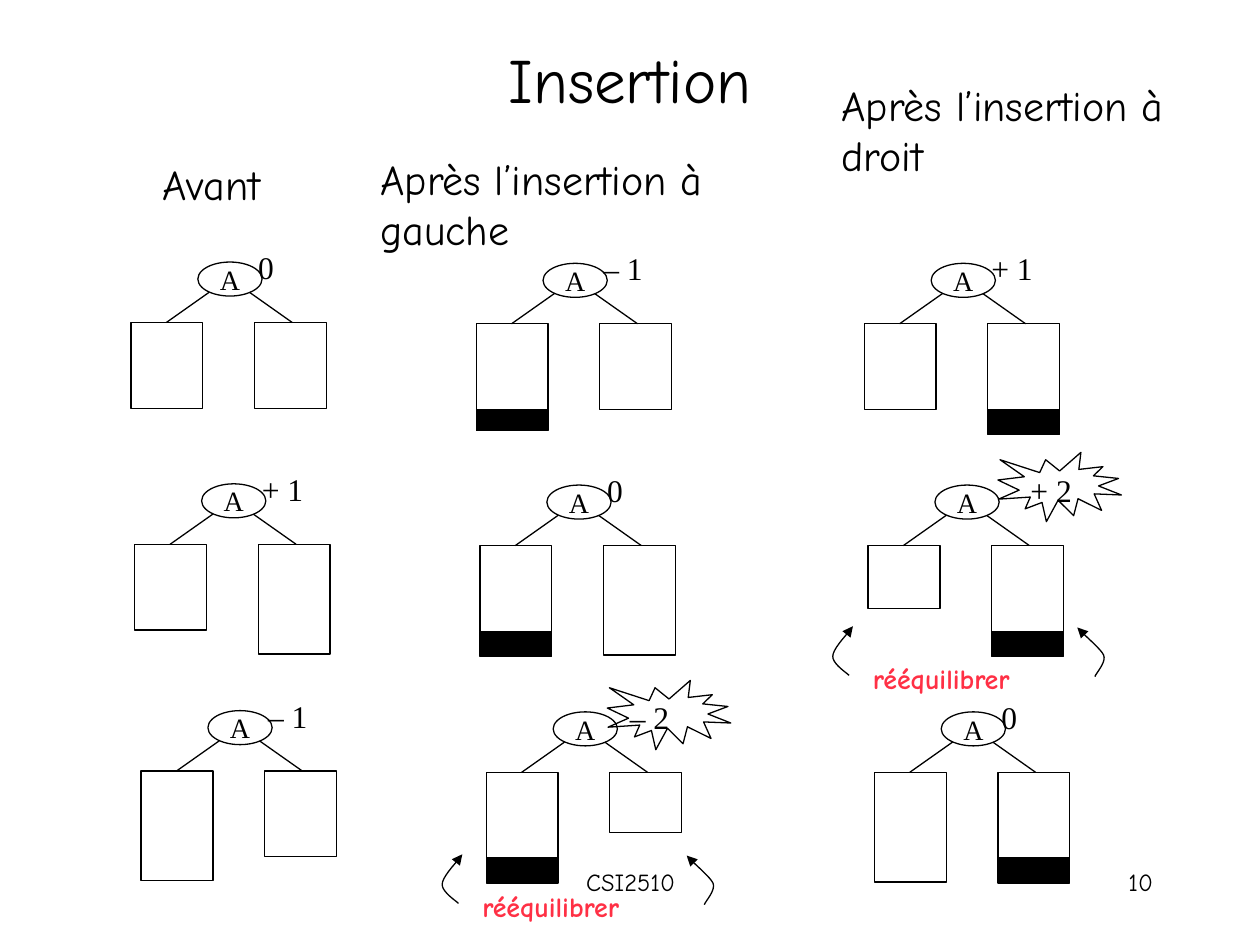
"""Build the slide on insertion cases in a balanced binary tree."""
from lxml import etree
from pptx import Presentation
from pptx import util as u
from pptx.dml.color import RGBColor
from pptx.enum import shapes, text
from pptx.oxml import ns

COMIC, TIMES = "Comic Neue", "Times New Roman"
LEFT, CENTER, RIGHT = text.PP_ALIGN.LEFT, text.PP_ALIGN.CENTER, text.PP_ALIGN.RIGHT
MIDDLE, TOP = text.MSO_ANCHOR.MIDDLE, text.MSO_ANCHOR.TOP
RECT, OVAL = shapes.MSO_SHAPE.RECTANGLE, shapes.MSO_SHAPE.OVAL

prs = Presentation()
prs.slide_width, prs.slide_height = u.Inches(10), u.Inches(7.5)
s = prs.slides.add_slide(prs.slide_layouts[6])


def write(box, words, size, font=COMIC, align=LEFT, anchor=TOP, color="000000", bold=False):
    sp = box if hasattr(box, "text_frame") else s.shapes.add_textbox(*map(u.Inches, box))
    tf = sp.text_frame
    tf.word_wrap = sp.shape_type == shapes.MSO_SHAPE_TYPE.TEXT_BOX
    tf.vertical_anchor = anchor
    p = tf.paragraphs[0]
    p.text = words
    p.alignment = align
    p.font.size, p.font.name, p.font.bold = u.Pt(size), font, bold
    p.font.color.rgb = RGBColor.from_string(color)


def draw(kind, box, fill="FFFFFF"):
    sp = s.shapes.add_shape(kind, *map(u.Inches, box))
    sp.shadow.inherit = False
    if fill:
        sp.fill.solid()
        sp.fill.fore_color.rgb = RGBColor.from_string(fill)
    else:
        sp.fill.background()
    sp.line.color.rgb = RGBColor.from_string("000000")
    sp.line.width = u.Pt(0.75)
    return sp


write((3.42, 6.83, 3.17, 0.5), "CSI2510", 14, align=CENTER)
write((7.17, 6.83, 2.08, 0.5), "10", 14, align=RIGHT)
write((0.75, 0, 8.5, 1.25), "Insertion", 36, align=CENTER, anchor=MIDDLE)
write((1.19, 1.21, 1.57, 0.5), "Avant", 24)
write((2.92, 1.17, 2.92, 0.9), "Après l’insertion à gauche", 24)
write((6.58, 0.58, 2.83, 0.9), "Après l’insertion à droit", 24)

columns = [(1.04, 0), (3.78, 0.01), (6.86, 0.01)]
rows = [(0, 2.56), (0.03, 4.32), (0.08, 6.12)]
width = 0.57
# balance, label offset, left height, right height, left addition, right addition
trees = [
    [("0", 0.91, 0.68, 0.68, 0, 0), ("– 1", 0.91, 0.68, 0.68, 0.17, 0), ("+ 1", 0.91, 0.68, 0.68, 0, 0.2)],
    [("+ 1", 0.91, 0.68, 0.87, 0, 0), ("0", 0.91, 0.68, 0.87, 0.2, 0), ("+ 2", 1.19, 0.5, 0.68, 0, 0.2)],
    [("– 1", 0.91, 0.87, 0.68, 0, 0), ("– 2", 1.04, 0.68, 0.48, 0.2, 0), ("0", 0.91, 0.87, 0.68, 0, 0.2)],
]
for (indent, row_top), row in zip(rows, trees):
    for (col_left, drop), (balance, offset, *heights) in zip(columns, row):
        x, y = col_left + indent, row_top + drop
        for i in range(2):
            left, height, added = x + 0.98 * i, heights[i], heights[i + 2]
            draw(RECT, (left, y, width, height))
            if added:
                draw(RECT, (left, y + height, width, added), "000000")
        write(draw(OVAL, (x + 0.53, y - 0.48, 0.51, 0.27)), "A", 16, TIMES, CENTER, MIDDLE)
        for start, end in ((0.94, 1.28), (0.62, 0.28)):
            ends = (x + start, y - 0.24, x + end, y)
            edge = s.shapes.add_connector(shapes.MSO_CONNECTOR.STRAIGHT, *map(u.Inches, ends))
            edge.line.color.rgb = RGBColor.from_string("000000")
            edge.line.width = u.Pt(0.75)
            etree.SubElement(edge._element.spPr, ns.qn("a:effectLst"))
        write((x + offset, y - 0.64, 0.77, 0.4), balance, 18, TIMES)

arrows = [
    [(8.69, 5.37), (8.7, 5.34), (8.78, 5.26), (8.76, 5.2), (8.73, 5.14), (8.59, 5.03), (8.55, 4.98)],
    [(6.74, 5.36), (6.72, 5.34), (6.61, 5.27), (6.61, 5.21), (6.61, 5.14), (6.75, 5.01), (6.77, 4.97)],
]
steps = 10
for dx, dy in ((0, 0), (-3.1, 1.81)):
    draw(shapes.MSO_SHAPE.EXPLOSION1, (7.92 + dx, 3.59 + dy, 0.98, 0.55), None)
    write((6.83 + dx, 5.2 + dy, 1.78, 0.37), "rééquilibrer", 16, color="FF3045", bold=True)
    for curve in arrows:
        points = [curve[0]]
        for k in (0, 3):
            for n in range(1, steps + 1):
                t = n / steps
                weights = ((1 - t) ** 3, 3 * t * (1 - t) ** 2, 3 * t * t * (1 - t), t ** 3)
                points.append([sum(w * c[axis] for w, c in zip(weights, curve[k:k + 4])) for axis in (0, 1)])
        points = [(u.Inches(px + dx), u.Inches(py + dy)) for px, py in points]
        builder = s.shapes.build_freeform(*points[0])
        builder.add_line_segments(points[1:], close=False)
        sp = builder.convert_to_shape()
        sp.shadow.inherit = False
        sp.fill.background()
        sp.line.color.rgb = RGBColor.from_string("000000")
        sp.line.width = u.Pt(0.75)
        etree.SubElement(sp.line._get_or_add_ln(), ns.qn("a:tailEnd"), type="triangle")

prs.save("out.pptx")
